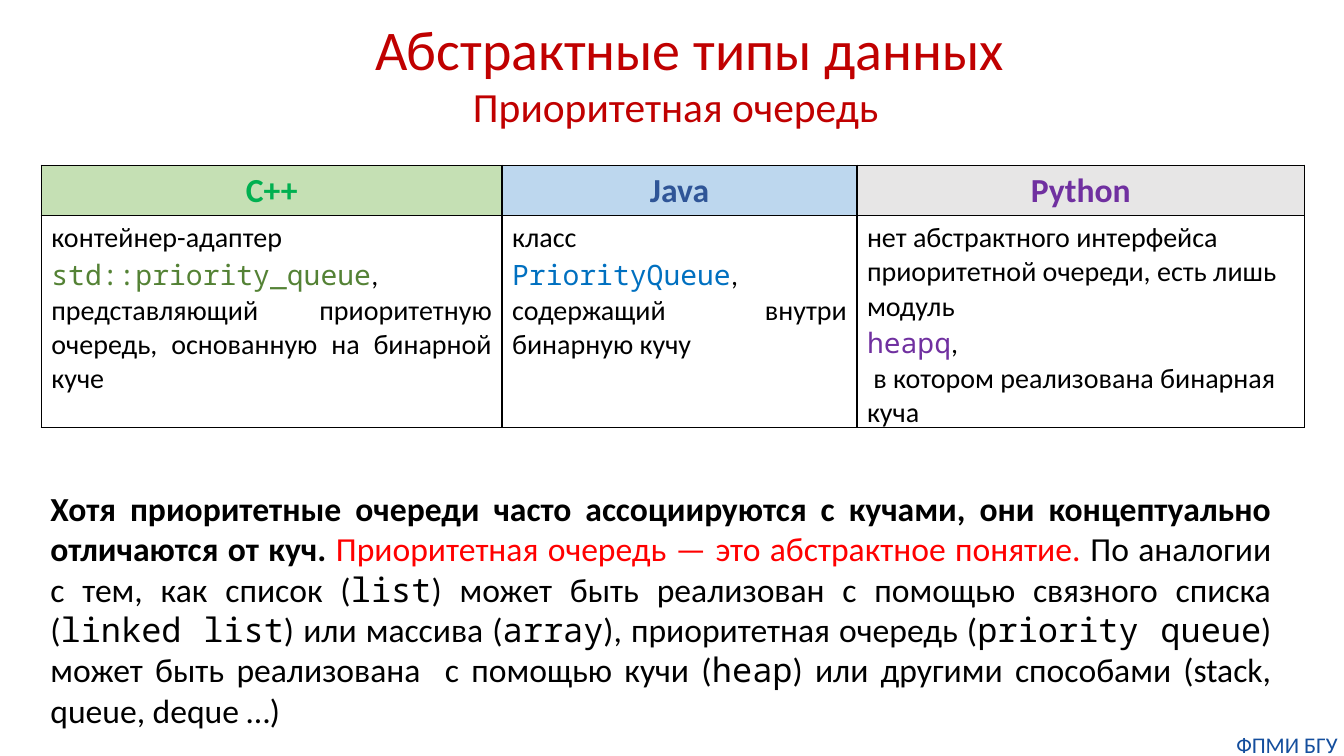
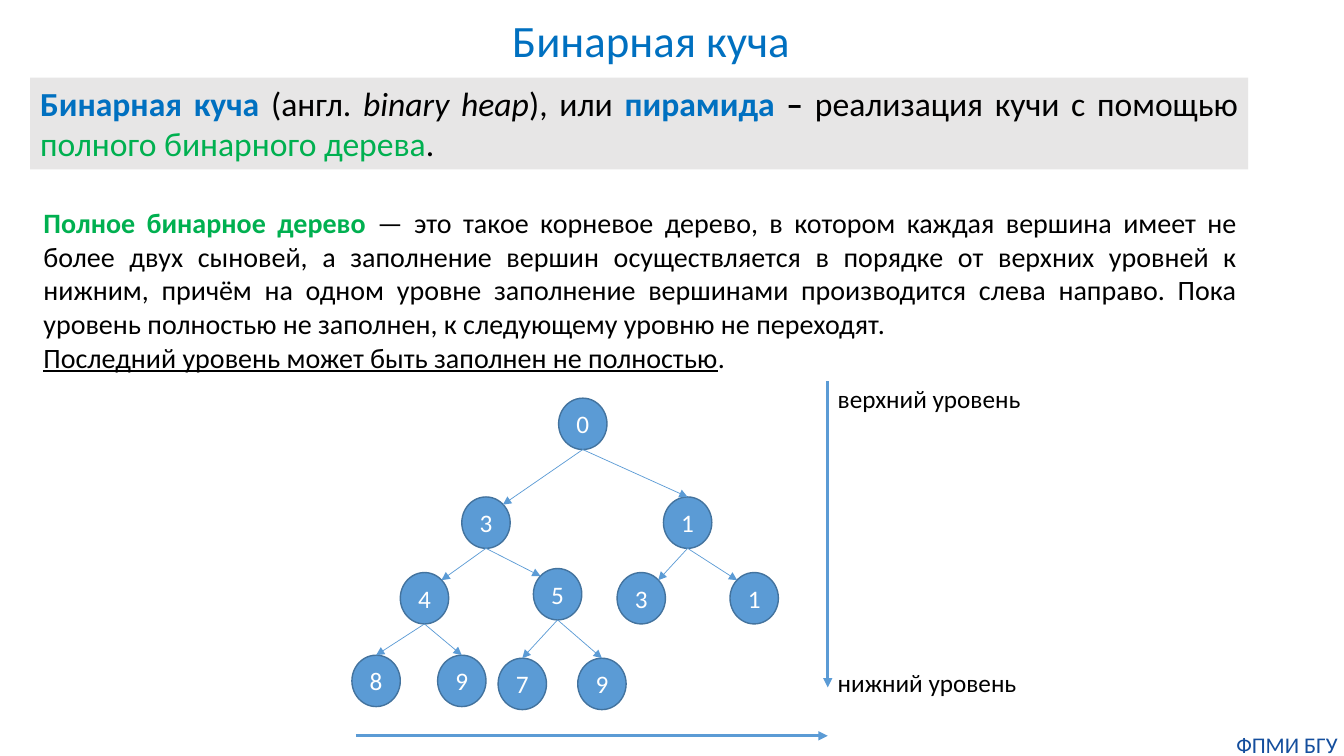
from dataclasses import dataclass

from lxml.etree import SubElement
from pptx import Presentation
from pptx.dml.color import RGBColor
from pptx.enum.shapes import MSO_CONNECTOR, MSO_SHAPE
from pptx.enum.text import MSO_ANCHOR as Anchor, MSO_AUTO_SIZE, PP_ALIGN as Align
from pptx.oxml.ns import qn
from pptx.util import Inches, Pt

BLACK = RGBColor(0x00, 0x00, 0x00)
WHITE = RGBColor(0xFF, 0xFF, 0xFF)
DARK_RED = RGBColor(0xC0, 0x00, 0x00)
RED = RGBColor(0xFF, 0x00, 0x00)
GREEN = RGBColor(0x00, 0xB0, 0x50)
CODE_GREEN = RGBColor(0x54, 0x82, 0x35)
PALE_GREEN = RGBColor(0xC5, 0xE0, 0xB4)
BLUE = RGBColor(0x00, 0x70, 0xC0)
DARK_BLUE = RGBColor(0x2F, 0x55, 0x97)
PALE_BLUE = RGBColor(0xBD, 0xD7, 0xEE)
FOOTER_BLUE = RGBColor(0x14, 0x4E, 0x9D)
NODE_BLUE = RGBColor(0x5B, 0x9B, 0xD5)
NODE_BORDER = RGBColor(0x43, 0x73, 0x9E)
PURPLE = RGBColor(0x70, 0x30, 0xA0)
GRAY = RGBColor(0xE7, 0xE6, 0xE6)

TEXT_FONT = "Calibri"
CODE_FONT = "Noto Sans Mono"
NODE_WIDTH, NODE_HEIGHT = 0.48, 0.51

# Points of a node's outline, as fractions of its width and height
TOP, TOP_LEFT, TOP_RIGHT, BOTTOM = (0.5, 0), (0.15, 0.15), (0.85, 0.15), (0.5, 1)


@dataclass(frozen=True)
class Span:
    text: str
    color: RGBColor = BLACK
    bold: bool = False
    italic: bool = False
    underline: bool = False
    font: str = TEXT_FONT


@dataclass(frozen=True)
class Box:
    left: float
    top: float
    width: float
    height: float

    def lengths(self) -> list:
        return [Inches(value) for value in (self.left, self.top, self.width, self.height)]


@dataclass(frozen=True)
class Language:
    name: str
    color: RGBColor
    fill: RGBColor
    column_width: float
    alignment: Align
    description: list


@dataclass(frozen=True)
class Node:
    value: str
    left: float
    top: float
    parent: int | None = None
    entry: tuple = TOP

    def point(self, site: tuple) -> tuple:
        return self.left + NODE_WIDTH * site[0], self.top + NODE_HEIGHT * site[1]


def code(text: str, color: RGBColor = BLACK) -> Span:
    return Span(text, color, font=CODE_FONT)


LANGUAGES = [
    Language("C++", GREEN, PALE_GREEN, 4.57, Align.JUSTIFY, [
        [Span("контейнер-адаптер "), code("std::priority_queue", CODE_GREEN),
         Span(", представляющий приоритетную очередь, основанную на бинарной куче")],
    ]),
    Language("Java", DARK_BLUE, PALE_BLUE, 3.52, Align.JUSTIFY, [
        [Span("класс ")],
        [code("PriorityQueue", BLUE), Span(", содержащий внутри бинарную кучу")],
    ]),
    Language("Python", PURPLE, GRAY, 4.44, Align.LEFT, [
        [Span("нет абстрактного интерфейса приоритетной очереди, есть лишь модуль")],
        [code("heapq", PURPLE), Span(",")],
        [Span(" в котором реализована бинарная куча")],
    ]),
]

QUEUE_TEXT = [[
    Span("Хотя приоритетные очереди часто ассоциируются с кучами, "
         "они концептуально отличаются от куч. ", bold=True),
    Span("Приоритетная очередь — это абстрактное понятие. ", RED),
    Span("По аналогии с тем, как список ("), code("list"),
    Span(") может быть реализован с помощью связного списка ("), code("linked list"),
    Span(") или массива ("), code("array"),
    Span("), приоритетная очередь ("), code("priority queue"),
    Span(") может быть реализована  с помощью кучи ("), code("heap"),
    Span(") или другими способами (stack, queue, deque …)"),
]]

HEAP_DEFINITION = [[
    Span("Бинарная куча ", BLUE, bold=True), Span("(англ. "),
    Span("binary heap", italic=True), Span("), или "),
    Span("пирамида ", BLUE, bold=True), Span("– ", bold=True),
    Span("реализация кучи с помощью "), Span("полного бинарного дерева", GREEN), Span(". "),
]]

COMPLETE_TREE_TEXT = [
    [Span("Полное бинарное дерево ", GREEN, bold=True),
     Span("— это такое корневое дерево, в котором каждая вершина имеет не более двух сыновей, "
          "а заполнение вершин осуществляется в порядке от верхних уровней к нижним, "
          "причём на одном уровне заполнение вершинами производится слева направо. "
          "Пока уровень полностью не заполнен, к следующему уровню не переходят. ")],
    [Span("Последний уровень может быть заполнен не полностью", underline=True), Span(". ")],
]

HEAP_NODES = [
    Node("0", 5.54, 3.95),
    Node("3", 4.58, 4.93, 0, TOP_RIGHT),
    Node("1", 6.58, 4.93, 0),
    Node("4", 3.97, 5.68, 1, TOP_RIGHT),
    Node("5", 5.29, 5.64, 1, TOP_LEFT),
    Node("3", 6.12, 5.68, 2, TOP_RIGHT),
    Node("1", 7.24, 5.68, 2, TOP_LEFT),
    Node("8", 3.49, 6.5, 3),
    Node("9", 4.34, 6.5, 3),
    Node("7", 4.94, 6.53, 4),
    Node("9", 5.73, 6.53, 4),
]


def write(frame, paragraphs: list, size: float, alignment: Align = Align.LEFT) -> None:
    for index, spans in enumerate(paragraphs):
        paragraph = frame.add_paragraph() if index else frame.paragraphs[0]
        paragraph.alignment = alignment
        paragraph.space_before = Pt(0)
        for span in spans:
            run = paragraph.add_run()
            run.text = span.text
            font = run.font
            font.name, font.size = span.font, Pt(size)
            font.bold, font.italic, font.underline = span.bold, span.italic, span.underline
            font.color.rgb = span.color


def remove_insets(frame) -> None:
    frame.margin_left = frame.margin_right = frame.margin_top = frame.margin_bottom = 0


def place(shape, box: Box) -> None:
    shape.left, shape.top, shape.width, shape.height = box.lengths()


def fill_title(slide, box: Box, title: Span, size: float, alignment: Align) -> None:
    shape = slide.shapes.title
    place(shape, box)
    frame = shape.text_frame
    frame.auto_size = MSO_AUTO_SIZE.NONE
    frame.vertical_anchor = Anchor.TOP
    write(frame, [[title]], size, alignment)


def fill_body(slide, box: Box, paragraphs: list, size: float) -> None:
    """Fill the body placeholder with justified text without bullets."""
    shape = slide.placeholders[1]
    place(shape, box)
    frame = shape.text_frame
    frame.auto_size = MSO_AUTO_SIZE.NONE
    write(frame, paragraphs, size, Align.JUSTIFY)
    for paragraph in frame.paragraphs:
        properties = paragraph._p.get_or_add_pPr()
        properties.set("marL", "0")
        properties.set("indent", "0")
        SubElement(properties, qn("a:buNone"))


def add_text(slide, box: Box, span: Span, size: float,
             alignment: Align = Align.LEFT, wrap: bool = True):
    shape = slide.shapes.add_textbox(*box.lengths())
    shape.text_frame.word_wrap = wrap
    write(shape.text_frame, [[span]], size, alignment)
    return shape


def add_filled_shape(slide, kind: MSO_SHAPE, box: Box, fill: RGBColor):
    shape = slide.shapes.add_shape(kind, *box.lengths())
    shape.shadow.inherit = False
    shape.fill.solid()
    shape.fill.fore_color.rgb = fill
    shape.line.fill.background()
    return shape


def add_arrow(slide, start: tuple, end: tuple, width: float) -> None:
    connector = slide.shapes.add_connector(
        MSO_CONNECTOR.STRAIGHT, *(Inches(value) for value in (*start, *end)))
    connector.line.color.rgb = NODE_BLUE
    connector.line.width = Pt(width)
    properties = connector.element.spPr
    SubElement(properties.find(qn("a:ln")), qn("a:tailEnd"), type="triangle")
    SubElement(properties, qn("a:effectLst"))


def style_cell(cell, fill: RGBColor | None = None) -> None:
    """Give the cell thin black borders and an optional fill."""
    properties = cell._tc.get_or_add_tcPr()
    for side in ("a:lnL", "a:lnR", "a:lnT", "a:lnB"):
        border = SubElement(properties, qn(side), w=str(Pt(1)))
        color = SubElement(SubElement(border, qn("a:solidFill")), qn("a:srgbClr"))
        color.set("val", str(BLACK))
    if fill is None:
        cell.fill.background()
    else:
        cell.fill.solid()
        cell.fill.fore_color.rgb = fill


def add_language_table(slide, box: Box, header_height: float) -> None:
    table = slide.shapes.add_table(2, len(LANGUAGES), *box.lengths()).table
    table.first_row = table.horz_banding = False
    table.rows[0].height = Inches(header_height)
    table.rows[1].height = Inches(box.height - header_height)
    for index, language in enumerate(LANGUAGES):
        table.columns[index].width = Inches(language.column_width)
        header, description = table.cell(0, index), table.cell(1, index)
        style_cell(header, language.fill)
        style_cell(description)
        title = Span(language.name, language.color, bold=True)
        write(header.text_frame, [[title]], 24, Align.CENTER)
        write(description.text_frame, language.description, 20, language.alignment)


def add_heap(slide) -> None:
    for node in HEAP_NODES:
        box = Box(node.left, node.top, NODE_WIDTH, NODE_HEIGHT)
        shape = add_filled_shape(slide, MSO_SHAPE.OVAL, box, NODE_BLUE)
        shape.line.color.rgb = NODE_BORDER
        shape.line.width = Pt(1)
        remove_insets(shape.text_frame)
        shape.text_frame.vertical_anchor = Anchor.MIDDLE
        write(shape.text_frame, [[Span(node.value, WHITE)]], 18, Align.CENTER)
    for node in HEAP_NODES:
        if node.parent is not None:
            start = HEAP_NODES[node.parent].point(BOTTOM)
            add_arrow(slide, start, node.point(node.entry), 0.5)


def add_master_footer(presentation, slide) -> None:
    """Make the footer on a slide and move it to the master, which all slides share."""
    footer = add_text(slide, Box(12.2, 7.25, 1.13, 0.27),
                      Span("ФПМИ БГУ", FOOTER_BLUE), 16, Align.CENTER)
    remove_insets(footer.text_frame)
    presentation.slide_master.shapes.element.append(footer.element)


def build_queue_slide(slide) -> None:
    fill_title(slide, Box(3.43, 0.09, 6.82, 0.77),
               Span("Абстрактные типы данных", DARK_RED), 40, Align.CENTER)
    subtitle = add_text(slide, Box(1.31, 0.87, 10.79, 0.46),
                        Span("Приоритетная очередь", DARK_RED), 29.6, Align.CENTER)
    subtitle.text_frame.vertical_anchor = Anchor.BOTTOM
    subtitle.text_frame.paragraphs[0].line_spacing = 0.7
    add_language_table(slide, Box(0.41, 1.64, 12.53, 2.6), 0.5)
    fill_body(slide, Box(0.4, 4.79, 12.31, 2.52), QUEUE_TEXT, 24)


def build_heap_slide(slide) -> None:
    fill_title(slide, Box(4.98, 0.08, 2.98, 0.64), Span("Бинарная куча", BLUE), 32, Align.LEFT)
    slide.shapes.title.text_frame.word_wrap = False
    fill_body(slide, Box(0.33, 1.99, 12.04, 1.78), COMPLETE_TREE_TEXT, 20)
    definition = add_filled_shape(slide, MSO_SHAPE.RECTANGLE, Box(0.3, 0.77, 12.08, 0.91), GRAY)
    definition.text_frame.vertical_anchor = Anchor.TOP
    write(definition.text_frame, HEAP_DEFINITION, 24, Align.JUSTIFY)
    add_heap(slide)
    add_arrow(slide, (8.21, 3.78), (8.21, 6.82), 2.25)
    add_arrow(slide, (3.53, 7.3), (8.21, 7.3), 2.25)
    for label, top in (("верхний уровень", 3.75), ("нижний уровень", 6.57)):
        add_text(slide, Box(8.21, top, 2.05, 0.4), Span(label), 18, wrap=False)


def main() -> None:
    presentation = Presentation()
    presentation.slide_width, presentation.slide_height = Inches(13.33), Inches(7.5)
    layout = presentation.slide_layouts[1]
    queue_slide, heap_slide = (presentation.slides.add_slide(layout) for _ in range(2))
    add_master_footer(presentation, queue_slide)
    build_queue_slide(queue_slide)
    build_heap_slide(heap_slide)
    presentation.save("out.pptx")


if __name__ == "__main__":
    main()
